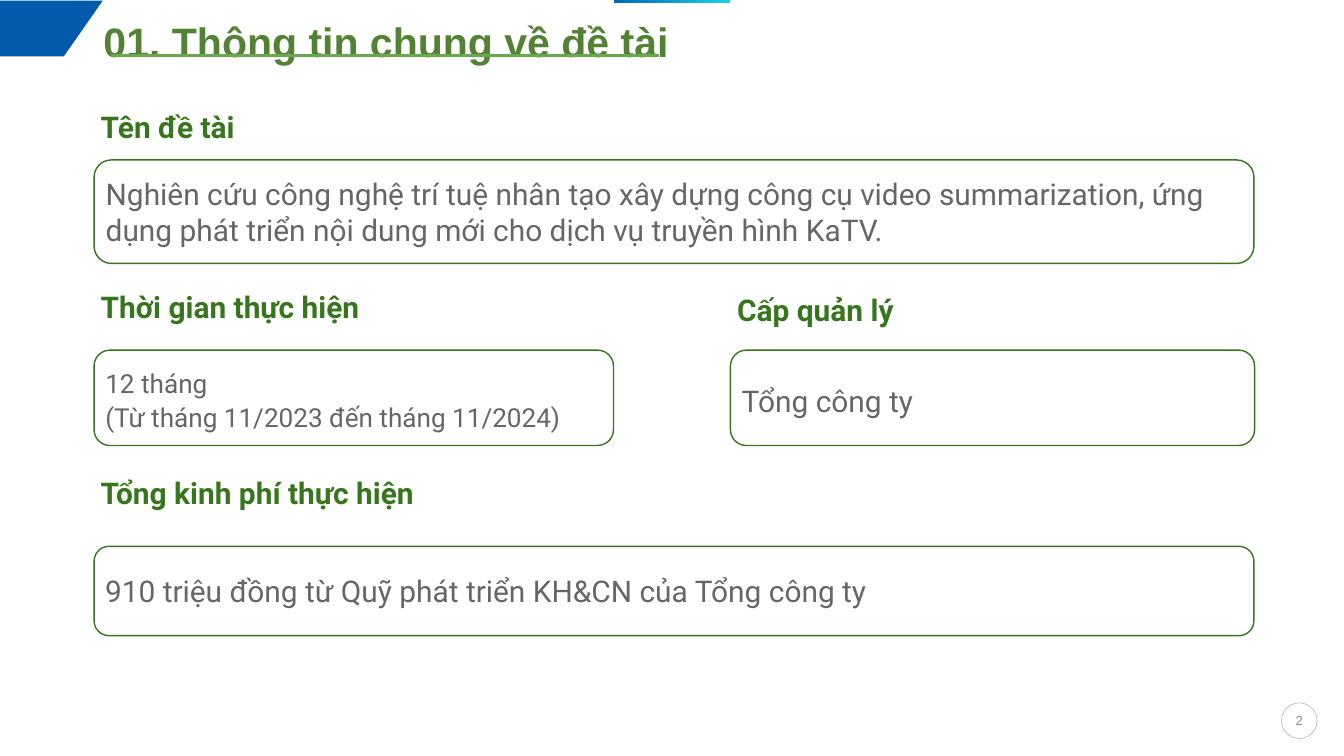
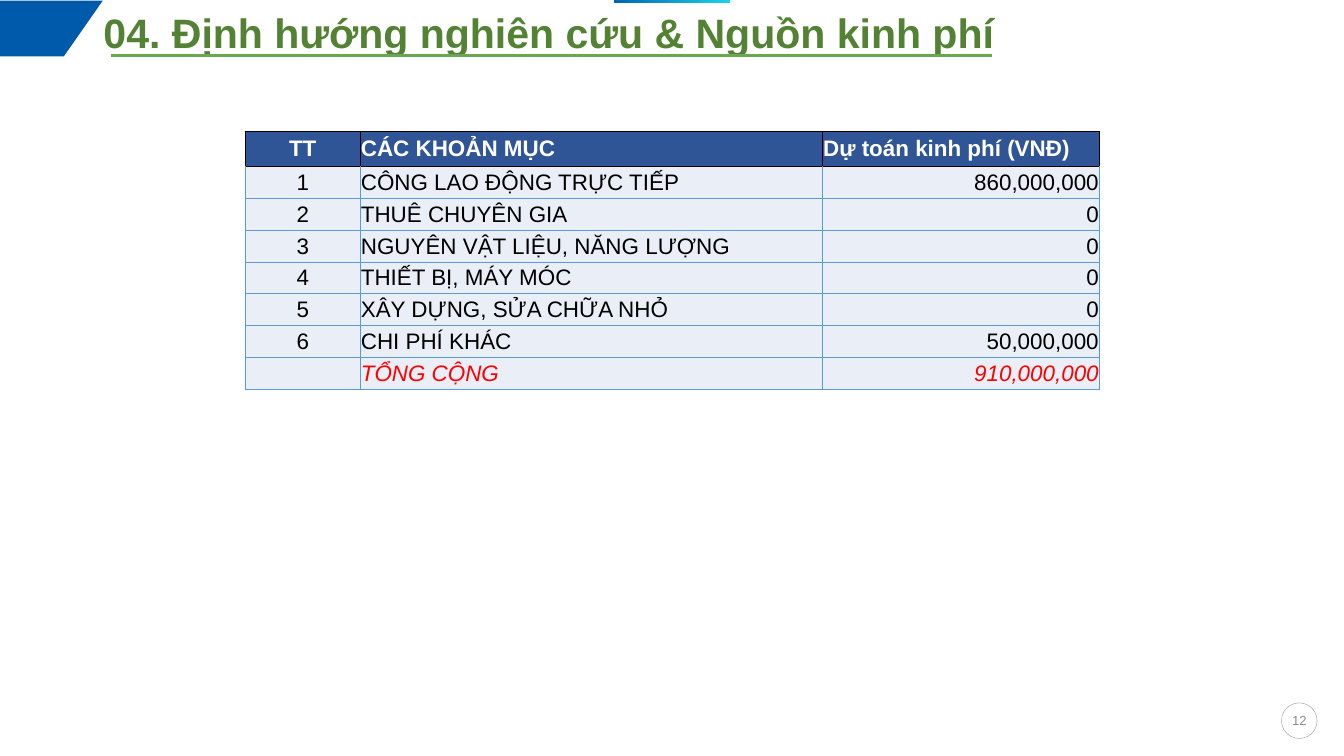
from collections import namedtuple
from dataclasses import dataclass
from lxml.etree import SubElement as Sub
from pptx import Presentation
from pptx.dml.color import RGBColor as Rgb
from pptx.enum.shapes import MSO_CONNECTOR as Conn, MSO_SHAPE as Kind
from pptx.enum.text import MSO_ANCHOR as Anchor, MSO_AUTO_SIZE as Fit, PP_ALIGN as Align
from pptx.oxml.ns import qn
from pptx.util import Inches, Pt

Box = namedtuple("Box", "left top width height")
Para = namedtuple("Para", "text lead before after", defaults=(1, 0, 0))


@dataclass(frozen=True)
class Theme:
    white: str = "FFFFFF"
    black: str = "000000"
    title: str = "548235"
    rule: str = "6AA84F"
    flag: str = "005AAB"
    start: str = "0166B4"
    end: str = "1CD4E4"
    label: str = "38761D"
    body: str = "666666"
    page: str = "8C8C8C"
    ring: str = "A6A6A6"
    head: str = "2F5597"
    cell: str = "EAEFF7"
    grid: str = "5B9BD5"
    total: str = "FF0000"
    sans: str = "Arial"
    text: str = "Roboto"
    big: int = 44
    mid: int = 32
    note: int = 28
    data: int = 24
    small: int = 14


T = Theme()
SIZE = Box(0, 0, 20, 11.25)
HEAD = Box(1.4, 0.05, 17.26, 0.83)
LEFT, WIDE, HALF = 1.4, 17.26, 7.73
RIGHT = 10.87


def tint(code):
    return Rgb.from_string(code)


def inch(box):
    return [Inches(n) for n in box]


def write(para, text, size, color, font, bold=False, italic=False):
    run = para.add_run()
    run.text = text
    face = run.font
    face.size, face.name = Pt(size), font
    face.bold, face.italic = bold, italic
    face.color.rgb = tint(color)


def inset(frame, left, top, right, bottom):
    frame.margin_left, frame.margin_top = Inches(left), Inches(top)
    frame.margin_right, frame.margin_bottom = Inches(right), Inches(bottom)


def paint(shape, fill=None, line=None, width=1):
    shape.shadow.inherit = False
    if fill:
        shape.fill.solid()
        shape.fill.fore_color.rgb = tint(fill)
    else:
        shape.fill.background()
    if line:
        shape.line.color.rgb = tint(line)
        shape.line.width = Pt(width)
    else:
        shape.line.fill.background()


def title(slide, box, text, drop, rule):
    shape = slide.shapes.title
    shape.left, shape.top, shape.width, shape.height = inch(box)
    frame = shape.text_frame
    frame.word_wrap, frame.auto_size = True, Fit.NONE
    frame.vertical_anchor = Anchor.TOP
    inset(frame, 0.14, drop, 0.14, 0)
    para = frame.paragraphs[0]
    para.alignment = Align.LEFT
    para.line_spacing = 1
    para.space_before = Pt(0)
    write(para, text, T.big, T.title, T.sans, True)

    left, base = Inches(box.left + 0.25), Inches(box.top + 0.78)
    line = slide.shapes.add_connector(Conn.STRAIGHT, left, base, left + Inches(rule), base)
    line.line.color.rgb = tint(T.rule)
    line.line.width = Pt(3)
    Sub(line._element.spPr, qn("a:effectLst"))


def flag(slide, box):
    left, top, wide, high = inch(box)
    build = slide.shapes.build_freeform(left, top)
    build.add_line_segments([(left + wide, top), (left + Inches(0.95), top + high),
                             (left, top + high)])
    paint(build.convert_to_shape(), T.flag)


def strip(slide, box):
    bar = slide.shapes.add_shape(Kind.RECTANGLE, *inch(box))
    paint(bar)
    bar.fill.gradient()
    bar.fill.gradient_angle = 0
    for stop, color, place in zip(bar.fill.gradient_stops, (T.start, T.end), (0, 1)):
        stop.color.rgb, stop.position = tint(color), place


def badge(slide, box, page):
    ring = slide.shapes.add_shape(Kind.OVAL, *inch(box))
    paint(ring, line=T.ring, width=0.5)
    area = box._replace(top=box.top + 0.1, height=0.34)
    frame = slide.shapes.add_textbox(*inch(area)).text_frame
    frame.word_wrap = True
    para = frame.paragraphs[0]
    para.alignment = Align.CENTER
    write(para, page, T.small, T.page, T.sans)


def start(deck, text, drop, rule, page):
    slide = deck.slides.add_slide(deck.slide_layouts[5])
    title(slide, HEAD, text, drop, rule)
    flag(slide, Box(0, 0.01, 1.53, 0.83))
    strip(slide, Box(9.14, 0, 1.73, 0.05))
    badge(slide, Box(19.07, 10.46, 0.53, 0.53), page)
    return slide


def field(slide, box, label, gap, paras, size=T.mid):
    area = box._replace(height=0.74)
    frame = slide.shapes.add_textbox(*inch(area)).text_frame
    frame.word_wrap, frame.auto_size = True, Fit.SHAPE_TO_FIT_TEXT
    inset(frame, 0.1, 0.1, 0.1, 0.1)
    write(frame.paragraphs[0], label, T.mid, T.label, T.text, True)

    area = box._replace(top=box.top + gap, height=box.height - gap)
    card = slide.shapes.add_shape(Kind.FLOWCHART_ALTERNATE_PROCESS, *inch(area))
    paint(card, T.white, T.label, 1.5)
    frame = card.text_frame
    frame.word_wrap, frame.vertical_anchor = True, Anchor.MIDDLE
    inset(frame, 0.1, 0.1, 0.1, 0.1)
    for at, item in enumerate(paras):
        para = frame.add_paragraph() if at else frame.paragraphs[0]
        para.alignment, para.line_spacing = Align.LEFT, item.lead
        para.space_before, para.space_after = Pt(item.before), Pt(item.after)
        write(para, item.text, size, T.body, T.text)


def edge(cell, color, top):
    props = cell._tc.get_or_add_tcPr()
    for side in "LRTB":
        line = Sub(props, qn("a:ln" + side), w=str(Pt(1)))
        fill = Sub(line, qn("a:solidFill"))
        Sub(fill, qn("a:srgbClr"), val=top if side == "T" else color)


def budget(slide, box, cols, rows):
    shape = slide.shapes.add_table(len(rows), len(cols), *inch(box))
    table = shape.table
    table.horz_banding = False
    for col, wide in zip(table.columns, cols):
        col.width = Inches(wide)
    first, last = 0.53, len(rows) - 1
    for y, row in enumerate(rows):
        head, total = y == 0, y == last
        table.rows[y].height = Inches(first if head else (box.height - first) / last)
        color = T.white if head else T.total if total else T.black
        for x, text in enumerate(row):
            cell = table.cell(y, x)
            edge(cell, T.black if head else T.grid, T.black if y < 2 else T.grid)
            cell.fill.solid()
            cell.fill.fore_color.rgb = tint(T.head if head else T.cell)
            cell.vertical_anchor = Anchor.MIDDLE
            inset(cell, 0.01, 0.01, 0.01, 0)
            para = cell.text_frame.paragraphs[0]
            side = Align.LEFT if head else Align.RIGHT
            para.alignment = (Align.CENTER, Align.LEFT, side)[x]
            if text:
                write(para, text, T.data, color, T.sans, head, total)


def facts(deck):
    slide = start(deck, "01. Thông tin chung về đề tài", 0.2, 8.16, "2")
    field(slide, Box(LEFT, 1.51, WIDE, 2.41), "Tên đề tài", 0.87, [
        Para("Nghiên cứu công nghệ trí tuệ nhân tạo xây dựng công cụ video summarization, "
             "ứng dụng phát triển nội dung mới cho dịch vụ truyền hình KaTV.")])
    field(slide, Box(LEFT, 4.19, HALF, 2.44), "Thời gian thực hiện", 1.02, [
        Para("12 tháng", 1.15, 3),
        Para("(Từ tháng 11/2023 đến tháng 11/2024)", 1, 3)], T.note)
    field(slide, Box(RIGHT, 4.24, 7.8, 2.39), "Cấp quản lý", 0.97, [
        Para("Tổng công ty", 1.15, 3, 3)])
    field(slide, Box(LEFT, 6.96, WIDE, 2.5), "Tổng kinh phí thực hiện", 1.17, [
        Para("910 triệu đồng từ Quỹ phát triển KH&CN của Tổng công ty")])


def funds(deck):
    slide = start(deck, "04. Định hướng nghiên cứu & Nguồn kinh phí", 0.06, 13.11, "12")
    items = [
        ("CÔNG LAO ĐỘNG TRỰC TIẾP", "860,000,000"),
        ("THUÊ CHUYÊN GIA", "0"),
        ("NGUYÊN VẬT LIỆU, NĂNG LƯỢNG", "0"),
        ("THIẾT BỊ, MÁY MÓC", "0"),
        ("XÂY DỰNG, SỬA CHỮA NHỎ", "0"),
        ("CHI PHÍ KHÁC", "50,000,000"),
    ]
    rows = [("TT", "CÁC KHOẢN MỤC", "Dự toán kinh phí (VNĐ)")]
    rows += [(str(n), *item) for n, item in enumerate(items, 1)]
    rows.append(("", "TỔNG CỘNG", "910,000,000"))
    budget(slide, Box(3.65, 1.95, 12.71, 3.84), (1.71, 6.88, 4.12), rows)


def main():
    deck = Presentation()
    deck.slide_width, deck.slide_height = Inches(SIZE.width), Inches(SIZE.height)
    facts(deck)
    funds(deck)
    deck.save("out.pptx")


if __name__ == "__main__":
    main()
